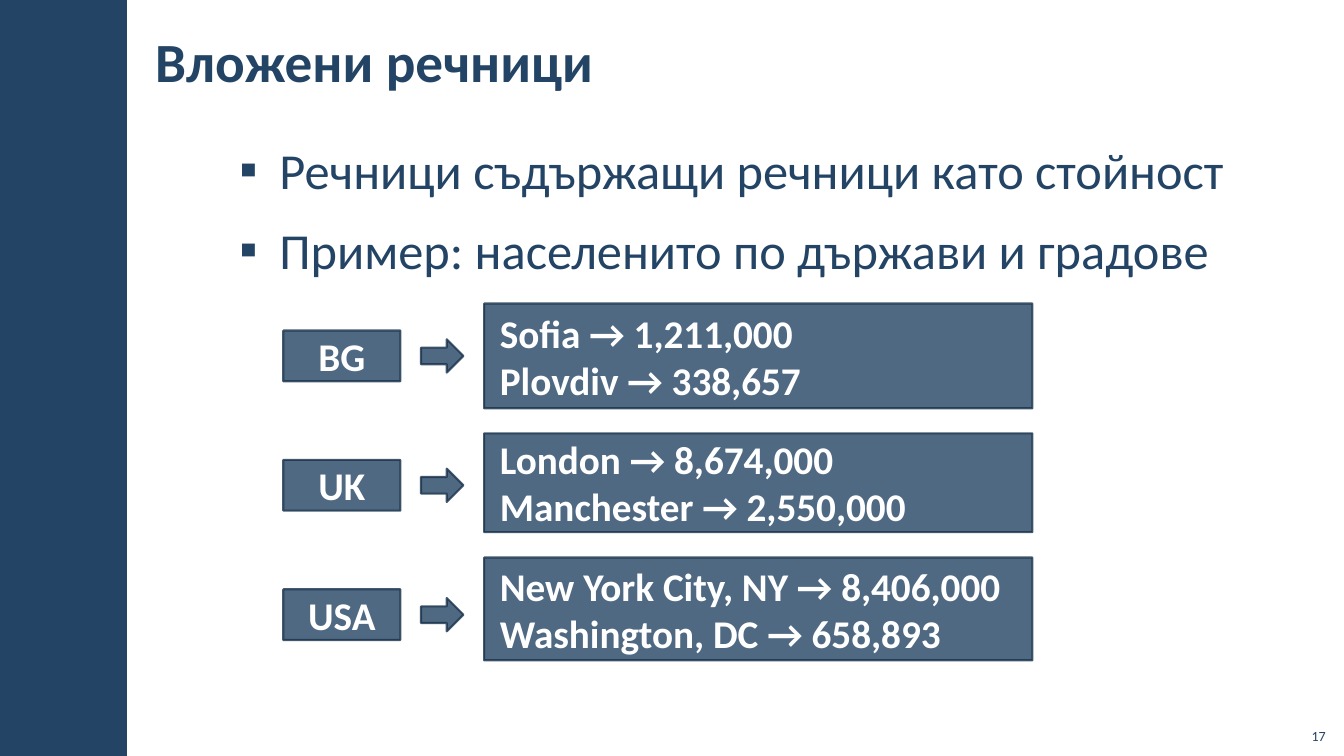
from lxml import etree
from pptx import Presentation
from pptx.dml.color import RGBColor
from pptx.enum.shapes import MSO_SHAPE as Shape
from pptx.enum.text import MSO_ANCHOR as Anchor, MSO_AUTO_SIZE as AutoSize, PP_ALIGN as Align
from pptx.oxml.ns import qn
from pptx.util import Cm, Pt

NAVY, DARK_NAVY, WHITE = "234465", "1A334C", "FFFFFF"
BULLETS = ["Речници съдържащи речници като стойност",
           "Пример: населенито по държави и градове"]
# country, cities, centre of the key, top and height of the city box
COUNTRIES = [
    ("BG", ["Sofia → 1,211,000", "Plovdiv → 338,657"], 7.65, 2.64),
    ("UK", ["London → 8,674,000", "Manchester → 2,550,000"], 10.92, 2.49),
    ("USA", ["New York City, NY → 8,406,000", "Washington, DC → 658,893"], 14.05, 2.59),
]
FIRST_KEY_MIDDLE, KEY_STEP = 8.97, 3.26


def rgb(color):
    return RGBColor.from_string(color)


def place(shape, left, top, width, height):
    shape.left, shape.top = Cm(left), Cm(top)
    shape.width, shape.height = Cm(width), Cm(height)


def set_margins(frame, horizontal, top, bottom):
    frame.margin_left = frame.margin_right = Cm(horizontal)
    frame.margin_top, frame.margin_bottom = Cm(top), Cm(bottom)


def write_lines(frame, lines, size, color, bold=False, align=Align.LEFT):
    frame.word_wrap = True
    frame.auto_size = AutoSize.NONE
    for index, line in enumerate(lines):
        paragraph = frame.paragraphs[0] if index == 0 else frame.add_paragraph()
        paragraph.alignment = align
        run = paragraph.add_run()
        run.text = line
        font = run.font
        font.name, font.size, font.bold = "Calibri", Pt(size), bold
        font.color.rgb = rgb(color)


def add_translucent_shape(slide, kind, left, top, width, height):
    """Add a navy shape whose fill and outline are 80 % opaque."""
    shape = slide.shapes.add_shape(kind, Cm(left), Cm(top), Cm(width), Cm(height))
    shape.shadow.inherit = False
    shape.fill.solid()
    shape.fill.fore_color.rgb = rgb(NAVY)
    shape.line.color.rgb = rgb(DARK_NAVY)
    shape.line.width = Pt(1.5)
    for color in shape.element.spPr.iter(qn("a:srgbClr")):
        etree.SubElement(color, qn("a:alpha"), val="80000")
    return shape


def add_label_box(slide, lines, align, left, top, width, height):
    box = add_translucent_shape(slide, Shape.RECTANGLE, left, top, width, height)
    frame = box.text_frame
    frame.vertical_anchor = Anchor.MIDDLE
    set_margins(frame, 0.4, 0.3, 0.3)
    write_lines(frame, lines, 28, WHITE, True, align)


def add_side_bar(slide, left, top, width, height):
    bar = slide.shapes.add_shape(Shape.RECTANGLE, Cm(left), Cm(top), Cm(width), Cm(height))
    bar.shadow.inherit = False
    bar.fill.solid()
    bar.fill.fore_color.rgb = rgb(NAVY)
    bar.line.fill.background()


def fill_title(title, text, left, top, width, height):
    place(title, left, top, width, height)
    frame = title.text_frame
    frame.vertical_anchor = Anchor.MIDDLE
    set_margins(frame, 0.3, 0.1, 0.1)
    write_lines(frame, [text], 39.5, NAVY, True)


def fill_bullets(body, lines, left, top, width, height):
    place(body, left, top, width, height)
    frame = body.text_frame
    frame.vertical_anchor = Anchor.TOP
    set_margins(frame, 0.3, 0.31, 0.1)
    write_lines(frame, lines, 36, NAVY)
    for index, paragraph in enumerate(frame.paragraphs):
        properties = paragraph._p.get_or_add_pPr()
        properties.set("marL", str(Cm(1)))
        properties.set("indent", str(Cm(-1)))
        etree.SubElement(properties, qn("a:buFont"), typeface="Wingdings")
        properties[-1].set("typeface", "Calibri")
        etree.SubElement(properties, qn("a:buChar"), char="▪")
        paragraph.line_spacing = 1.05
        paragraph.space_before = Pt(6 if index else 0)
        paragraph.space_after = Pt(6)


def add_country_row(slide, country, cities, left, key_middle, top, height):
    key_width, key_height = 2.95, 1.28
    arrow_width, arrow_height = 1.07, 0.84
    gap = 0.52
    arrow_left = left + key_width + gap
    add_label_box(slide, [country], Align.CENTER,
                  left, key_middle - key_height / 2, key_width, key_height)
    add_translucent_shape(slide, Shape.RIGHT_ARROW, arrow_left,
                          key_middle - arrow_height / 2, arrow_width, arrow_height)
    add_label_box(slide, cities, Align.LEFT,
                  arrow_left + arrow_width + gap, top, 13.82, height)


def add_slide_number(slide, number, left, top, width, height):
    box = slide.shapes.add_textbox(Cm(left), Cm(top), Cm(width), Cm(height))
    box.text_frame.vertical_anchor = Anchor.BOTTOM
    write_lines(box.text_frame, [number], 10, NAVY, align=Align.RIGHT)


def main():
    presentation = Presentation()
    presentation.slide_width, presentation.slide_height = Cm(33.87), Cm(19.05)
    slide = presentation.slides.add_slide(presentation.slide_layouts[1])
    add_side_bar(slide, 0, 0, 3.2, 19.05)
    fill_title(slide.shapes.title, "Вложени речници", 3.61, 0.28, 23.95, 2.46)
    fill_bullets(slide.placeholders[1], BULLETS, 5.74, 3.12, 27.56, 14.66)
    for row, (country, cities, top, height) in enumerate(COUNTRIES):
        key_middle = FIRST_KEY_MIDDLE + row * KEY_STEP
        add_country_row(slide, country, cities, 7.14, key_middle, top, height)
    add_slide_number(slide, "17", 32.64, 18.08, 1.02, 0.81)
    presentation.save("out.pptx")


if __name__ == "__main__":
    main()
